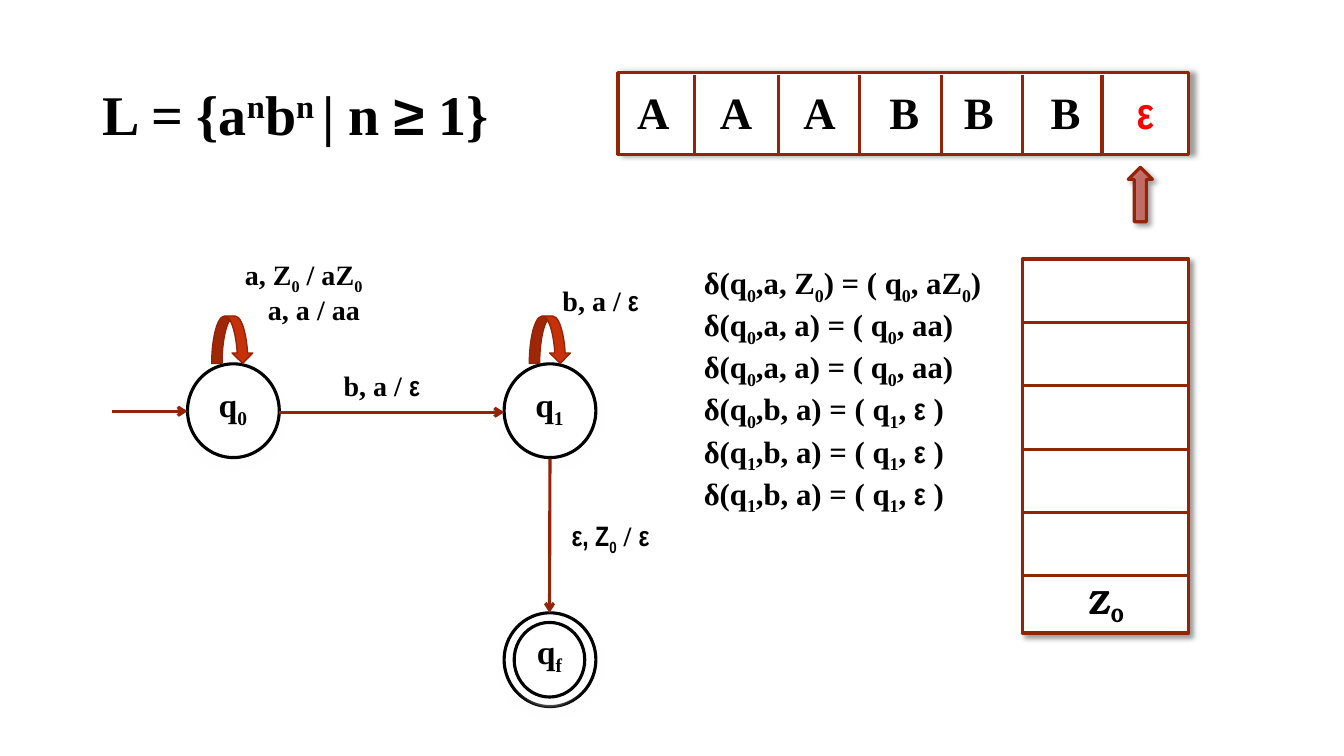
from dataclasses import dataclass
from typing import Optional, Sequence, Union

import lxml.etree
import pptx
import pptx.dml.color
import pptx.enum.shapes
import pptx.enum.text
import pptx.oxml.ns
import pptx.util

COLUMNS, ROWS = 133.3, 75
CELL = pptx.util.Inches(0.1)
SERIF, SANS, NARROW, MATH = "Times New Roman", "Arial", "Arial Narrow", "TeX Gyre Bonum"
BLACK, WHITE, RED, BRICK, RUST, ROSE = "000000", "FFFFFF", "FF0000", "932407", "C73109", "C66762"
SHAPES = pptx.enum.shapes.MSO_SHAPE
ALIGN = pptx.enum.text.PP_ALIGN


@dataclass(frozen=True)
class Box:
    """A place on the grid, in columns and rows."""
    column: float
    row: float
    width: float
    height: float

    def lengths(self) -> list[int]:
        return [grid(n) for n in (self.column, self.row, self.width, self.height)]


@dataclass(frozen=True)
class Run:
    text: str
    baseline: int = 0
    font: Optional[str] = None
    colour: Optional[str] = None


@dataclass(frozen=True)
class Shadow:
    colour: str
    opacity: int
    blur: float
    distance: float
    angle: int


@dataclass(frozen=True)
class Label:
    box: Box
    runs: Sequence[Union[str, Run]]


@dataclass(frozen=True)
class State:
    column: float
    row: float
    subscript: str
    final: bool = False


@dataclass(frozen=True)
class TapeSymbol:
    centre: float
    run: Run


Runs = Sequence[Union[str, Run]]
TAPE_SHADOW = Shadow(BLACK, 39, 4, 3, 0)
DROP_SHADOW = Shadow(BLACK, 40, 4, 3, 45)
STATE_SHADOW = Shadow(WHITE, 100, 4, 4, 90)
EPSILON = Run("ε", font=NARROW)


def grid(count: float) -> int:
    return round(count * CELL)


def colour(value: str) -> pptx.dml.color.RGBColor:
    return pptx.dml.color.RGBColor.from_string(value)


def child(parent, tag: str, **attributes):
    element = lxml.etree.SubElement(parent, pptx.oxml.ns.qn(tag))
    for name, value in attributes.items():
        element.set(name, str(value))
    return element


def sub(text: str, font: Optional[str] = None) -> Run:
    return Run(text, -25, font)


def rule(state: str, read: Runs, target: str, push: Runs) -> Runs:
    """One transition of the automaton."""
    return ["δ(q", sub(state), *read, ") = ( q", sub(target), ", ", *push]


def write(shape, *paragraphs: Runs, size: float, font: str = SERIF,
          align=ALIGN.LEFT, grow: bool = True) -> None:
    frame = shape.text_frame
    frame.word_wrap = True
    sizes = pptx.enum.text.MSO_AUTO_SIZE
    frame.auto_size = sizes.SHAPE_TO_FIT_TEXT if grow else sizes.NONE
    for index, runs in enumerate(paragraphs):
        paragraph = frame.add_paragraph() if index else frame.paragraphs[0]
        paragraph.alignment = align
        paragraph.space_before = pptx.util.Pt(0)
        properties = paragraph._p.get_or_add_pPr()
        properties.set("marL", "0")
        properties.set("indent", "0")
        child(properties, "a:buNone")
        for item in runs:
            part = item if isinstance(item, Run) else Run(item)
            run = paragraph.add_run()
            run.text = part.text
            run.font.size = pptx.util.Pt(size)
            run.font.bold = True
            run.font.name = part.font or font
            run.font.color.rgb = colour(part.colour or BLACK)
            if part.baseline:
                run._r.get_or_add_rPr().set("baseline", str(part.baseline * 1000))


def add_text(slide, box: Box, *paragraphs: Runs, **text_format) -> None:
    write(slide.shapes.add_textbox(*box.lengths()), *paragraphs, **text_format)


def add_shape(slide, kind, box: Box, fill: str = WHITE, line: str = BRICK, width: float = 2.25,
              shadow: Optional[Shadow] = None, opacity: int = 100) -> None:
    shape = slide.shapes.add_shape(kind, *box.lengths())
    shape.fill.solid()
    shape.fill.fore_color.rgb = colour(fill)
    shape.line.color.rgb = colour(line)
    shape.line.width = pptx.util.Pt(width)
    shape.shadow.inherit = False
    properties = shape._element.spPr
    if opacity < 100:
        fill_colour = properties.find(pptx.oxml.ns.qn("a:solidFill"))[0]
        child(fill_colour, "a:alpha", val=opacity * 1000)
    if shadow:
        effects = properties.find(pptx.oxml.ns.qn("a:effectLst"))
        outer = child(effects, "a:outerShdw", blurRad=pptx.util.Pt(shadow.blur),
                      dist=pptx.util.Pt(shadow.distance), dir=shadow.angle * 60000,
                      algn="ctr", rotWithShape=0)
        tint = child(outer, "a:srgbClr", val=shadow.colour)
        child(tint, "a:alpha", val=shadow.opacity * 1000)


def add_line(slide, x1: float, y1: float, x2: float, y2: float, arrow: bool = False) -> None:
    line = slide.shapes.add_connector(pptx.enum.shapes.MSO_CONNECTOR.STRAIGHT,
                                      *(grid(n) for n in (x1, y1, x2, y2)))
    line.line.color.rgb = colour(BRICK)
    line.line.width = pptx.util.Pt(2.25)
    if arrow:
        child(line.line._get_or_add_ln(), "a:tailEnd", type="arrow")
    child(line._element.spPr, "a:effectLst")


def add_state(slide, state: State) -> None:
    add_shape(slide, SHAPES.OVAL, Box(state.column, state.row, 9.1, 9.3),
              line=BLACK, shadow=STATE_SHADOW)
    if state.final:
        add_shape(slide, SHAPES.OVAL, Box(state.column + 1, state.row + 0.95, 7, 7.4),
                  line=BLACK, shadow=STATE_SHADOW)
    name_row = state.row + (1.3 if state.final else 1.5)
    add_text(slide, Box(state.column + 0.8, name_row, 7.4, 5), ["q", sub(state.subscript)],
             size=24, align=ALIGN.CENTER)


def add_tape(slide) -> None:
    add_shape(slide, SHAPES.RECTANGLE, Box(61.3, 7.2, 56.6, 8.1), shadow=TAPE_SHADOW)
    for column in (68.85, 77.25, 85.25, 93.35, 101.4, 109.3, 117.85):
        add_line(slide, column, 7.4, column, 15.2)
    width = 7.6
    for symbol in (
        TapeSymbol(64.8, Run("A")), TapeSymbol(73, Run("A")), TapeSymbol(81.3, Run("A")),
        TapeSymbol(89.7, Run("B")), TapeSymbol(97.1, Run("B")), TapeSymbol(105.7, Run("B")),
        TapeSymbol(113.6, Run("ε", font=NARROW, colour=RED)),
    ):
        add_text(slide, Box(symbol.centre - width / 2, 7.9, width, 6.4), [symbol.run],
                 size=32, align=ALIGN.CENTER)
    add_shape(slide, SHAPES.UP_ARROW, Box(111.9, 16.6, 2.4, 5.4), fill=ROSE,
              shadow=DROP_SHADOW, opacity=91)


def add_stack(slide) -> None:
    add_shape(slide, SHAPES.RECTANGLE, Box(101.4, 25.7, 16.5, 37.1), shadow=DROP_SHADOW)
    for level in range(5):
        row = 32 + level * 6.28
        add_line(slide, 101.5, row, 117.9, row)
    add_text(slide, Box(104.6, 57.1, 10.3, 5), ["Z", sub("0")],
             size=24, font=MATH, align=ALIGN.CENTER)


def add_automaton(slide) -> None:
    for state in (State(18.6, 36.1, "0"), State(50, 36.1, "1"), State(50, 60.8, "f", True)):
        add_state(slide, state)
    for ends in ((11.1, 40.8, 18.6, 40.8), (27.7, 40.9, 50, 40.9), (54.55, 45.5, 54.5, 60.8)):
        add_line(slide, *ends, arrow=True)
    for column in (21, 52.5):
        add_shape(slide, SHAPES.CURVED_DOWN_ARROW, Box(column, 31.35, 4.1, 4.7), fill=RUST, width=1)
    for label in (
        Label(Box(23.3, 25.1, 19.7, 4.4), ["a, Z", sub("0"), " / aZ", sub("0")]),
        Label(Box(25.6, 28.5, 19.7, 4.4), ["a, a / aa"]),
        Label(Box(33.1, 36.1, 11.5, 4.4), ["b, a / ", EPSILON]),
        Label(Box(54.8, 27.6, 11.5, 4.4), ["b, a / ", EPSILON]),
        Label(Box(55.7, 50.9, 11.5, 4.4),
              [Run("ε, Z", font=NARROW), sub("0", NARROW), " / ", EPSILON]),
    ):
        add_text(slide, label.box, label.runs, size=20)


def place(shape, box: Box, anchor) -> None:
    shape.left, shape.top, shape.width, shape.height = box.lengths()
    shape.text_frame.vertical_anchor = anchor


def main() -> None:
    presentation = pptx.Presentation()
    presentation.slide_width, presentation.slide_height = grid(COLUMNS), grid(ROWS)
    slide = presentation.slides.add_slide(presentation.slide_layouts[1])
    title, transitions = slide.placeholders
    anchors = pptx.enum.text.MSO_ANCHOR
    place(title, Box(9.2, 4, 42, 14.5), anchors.MIDDLE)
    write(title, ["L = {a", Run("n", 30), "b", Run("n ", 30), "| n ", Run("≥", font=SANS), " 1}"],
          size=40, grow=False)
    place(transitions, Box(68.8, 25.7, 30.2, 23.2), anchors.TOP)
    push_one = rule("0", [",a, a"], "0", ["aa)"])
    pop_one = rule("1", [",b, a"], "1", [EPSILON, " )"])
    write(transitions, rule("0", [",a, Z", sub("0")], "0", ["aZ", sub("0"), ")"]),
          push_one, push_one, rule("0", [",b, a"], "1", [EPSILON, " )"]), pop_one, pop_one, size=22)
    add_tape(slide)
    add_stack(slide)
    add_automaton(slide)
    presentation.save("out.pptx")


if __name__ == "__main__":
    main()
